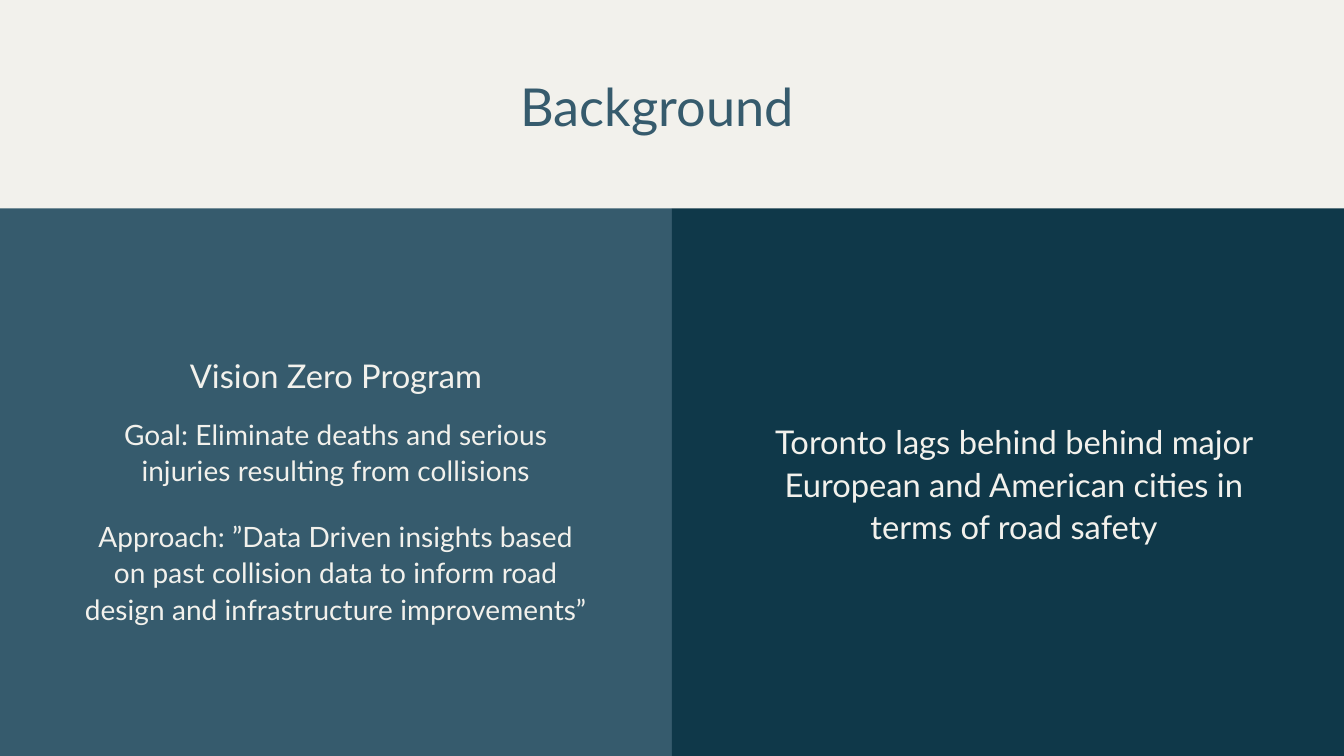
from pptx import Presentation
from pptx.dml.color import RGBColor
from pptx.enum.shapes import MSO_SHAPE
from pptx.enum.text import PP_ALIGN
from pptx.util import Inches, Pt

RECTANGLE = MSO_SHAPE.RECTANGLE
CENTER = PP_ALIGN.CENTER

THEME = {
    "font": "Lato",
    "cream": RGBColor(0xF2, 0xF1, 0xEC),
    "slate": RGBColor(0x36, 0x5B, 0x6D),
    "navy": RGBColor(0x0F, 0x38, 0x49),
    "title": 56,
    "heading": 35,
    "body": 30,
}

# Content: text, type role, top, height
TITLE = "Background"
PROGRAM = [
    ("Vision Zero Program", "heading", 5.25, 0.6),
    ("Goal: Eliminate deaths and serious injuries resulting from collisions",
     "body", 6.17, 1.08),
    ("Approach: ”Data Driven insights based on past collision data to inform "
     "road design and infrastructure improvements”", "body", 7.69, 1.64),
]
COMPARISON = [
    ("Toronto lags behind behind major European and American cities in terms "
     "of road safety", "heading", 6.23, 1.86),
]

# Layout
SLIDE_W, SLIDE_H = 20, 11.25
PANEL_TOP = 3.1
PANEL_W = SLIDE_W / 2
COLUMN_W = 7.56
# Panel fill, left edge of its text column, texts
PANELS = [("slate", 1.22, PROGRAM), ("navy", 11.31, COMPARISON)]


def add_text(slide, text, *, left, top, width, height, size, color,
             leading=1.3, tracking=0):
    frame = slide.shapes.add_textbox(
        Inches(left), Inches(top), Inches(width), Inches(height)).text_frame
    frame.word_wrap = True
    frame.margin_left = frame.margin_right = 0
    frame.margin_top = frame.margin_bottom = 0
    paragraph = frame.paragraphs[0]
    paragraph.alignment = CENTER
    paragraph.line_spacing = Pt(size * leading)
    run = paragraph.add_run()
    run.text = text
    run.font.name = THEME["font"]
    run.font.size = Pt(size)
    run.font.color.rgb = color
    if tracking:
        run.font._element.set("spc", str(round(tracking * 100)))


def add_panel(slide, left, color):
    panel = slide.shapes.add_shape(
        RECTANGLE, Inches(left), Inches(PANEL_TOP),
        Inches(PANEL_W), Inches(SLIDE_H - PANEL_TOP))
    panel.shadow.inherit = False
    panel.fill.solid()
    panel.fill.fore_color.rgb = color
    panel.line.fill.background()


def main():
    prs = Presentation()
    prs.slide_width, prs.slide_height = Inches(SLIDE_W), Inches(SLIDE_H)
    slide = prs.slides.add_slide(prs.slide_layouts[6])
    slide.background.fill.solid()
    slide.background.fill.fore_color.rgb = THEME["cream"]

    # Title band
    add_text(slide, TITLE, left=3, top=1.11, width=13.56, height=0.94,
             size=THEME["title"], color=THEME["slate"], leading=1.2)

    # Two panels, each with its text column
    for index, (fill, column_left, texts) in enumerate(PANELS):
        add_panel(slide, index * PANEL_W, THEME[fill])
        for text, role, top, height in texts:
            add_text(slide, text, left=column_left, top=top, width=COLUMN_W,
                     height=height, size=THEME[role], color=THEME["cream"],
                     tracking=0.1 if role == "body" else 0)

    prs.save("out.pptx")


if __name__ == "__main__":
    main()
